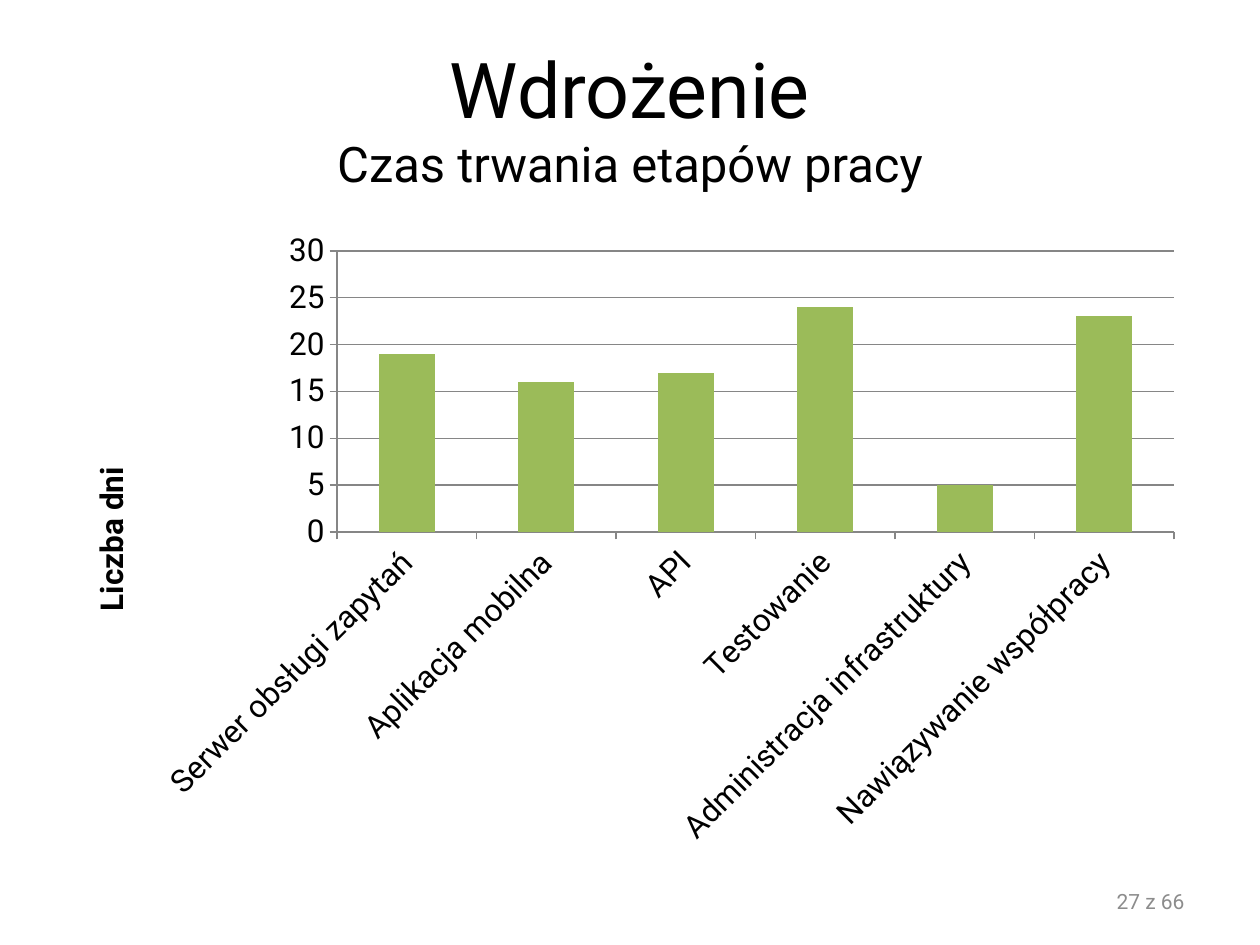
from dataclasses import dataclass

from lxml import etree
from pptx import Presentation
from pptx import util as u
from pptx.chart.data import CategoryChartData
from pptx.dml.color import RGBColor
from pptx.enum import chart as charts, text
from pptx.oxml.ns import qn

PX = 914400 // 126


@dataclass(frozen=True)
class Theme:
    font: str = "Roboto"
    ink: str = "000000"
    muted: str = "8C8C8C"
    rule: str = "868686"
    bar: str = "9BBB59"
    title: int = 44
    subtitle: int = 28
    label: int = 18
    footer: int = 12


@dataclass(frozen=True)
class Box:
    left: int
    top: int
    width: int
    height: int

    def emu(self) -> tuple[int, ...]:
        return tuple(v * PX for v in (self.left, self.top, self.width, self.height))


@dataclass(frozen=True)
class Stage:
    name: str
    days: int


THEME = Theme()
TITLE_BOX = Box(63, 38, 1134, 158)
CHART_BOX = Box(63, 220, 1134, 639)
PLOT_BOX = Box(337, 251, 837, 281)
FOOTER_BOX = Box(903, 876, 294, 50)
STAGES = (
    Stage("Serwer obsługi zapytań", 19),
    Stage("Aplikacja mobilna", 16),
    Stage("API", 17),
    Stage("Testowanie", 24),
    Stage("Administracja infrastruktury", 5),
    Stage("Nawiązywanie współpracy", 23),
)


def style_font(font, size: int, color: str, bold: bool = False) -> None:
    font.name = THEME.font
    font.size = u.Pt(size)
    font.bold = bold
    font.color.rgb = RGBColor.from_string(color)


def add_span(para, wording: str, size: int, color: str) -> None:
    span = para.add_run()
    span.text = wording
    style_font(span.font, size, color)


def prepare(shape, box: Box, align):
    shape.left, shape.top, shape.width, shape.height = box.emu()
    frame = shape.text_frame
    frame.word_wrap = True
    frame.auto_size = text.MSO_AUTO_SIZE.NONE
    frame.vertical_anchor = text.MSO_ANCHOR.MIDDLE
    para = frame.paragraphs[0]
    para.alignment = align
    return para


def place_plot(chart, outer: Box, inner: Box) -> None:
    area = chart._chartSpace.chart.plotArea
    for old in area.findall(qn("c:layout")):
        area.remove(old)
    layout = etree.Element(qn("c:layout"))
    manual = etree.SubElement(layout, qn("c:manualLayout"))
    settings = {
        "layoutTarget": "inner",
        "xMode": "edge",
        "yMode": "edge",
        "x": (inner.left - outer.left) / outer.width,
        "y": (inner.top - outer.top) / outer.height,
        "w": inner.width / outer.width,
        "h": inner.height / outer.height,
    }
    for tag, value in settings.items():
        etree.SubElement(manual, qn(f"c:{tag}")).set("val", str(value))
    area.insert(0, layout)


def style_axis(axis) -> None:
    style_font(axis.tick_labels.font, THEME.label, THEME.ink)
    axis.major_tick_mark = charts.XL_TICK_MARK.OUTSIDE
    axis.minor_tick_mark = charts.XL_TICK_MARK.NONE
    style_line(axis.format.line)


def style_line(line) -> None:
    line.color.rgb = RGBColor.from_string(THEME.rule)
    line.width = u.Pt(0.75)


def add_stage_chart(page, stages: tuple[Stage, ...]) -> None:
    data = CategoryChartData()
    data.categories = [stage.name for stage in stages]
    data.add_series("Series 1", [stage.days for stage in stages])
    chart = page.shapes.add_chart(
        charts.XL_CHART_TYPE.COLUMN_CLUSTERED, *CHART_BOX.emu(), data
    ).chart
    chart.has_legend = False
    chart.has_title = False
    style_font(chart.font, THEME.label, THEME.ink)
    plot = chart.plots[0]
    plot.gap_width = 150
    plot.vary_by_categories = False
    fill = plot.series[0].format.fill
    fill.solid()
    fill.fore_color.rgb = RGBColor.from_string(THEME.bar)

    names, days = chart.category_axis, chart.value_axis
    for axis in (names, days):
        style_axis(axis)
    names.tick_labels.font._element.getparent().getparent().getparent().find(
        qn("a:bodyPr")
    ).set("rot", str(-45 * 60000))
    days.minimum_scale, days.maximum_scale, days.major_unit = 0, 30, 5
    days.has_major_gridlines = True
    style_line(days.major_gridlines.format.line)
    days.has_title = True
    frame = days.axis_title.text_frame
    frame._txBody.find(qn("a:bodyPr")).set("rot", str(-90 * 60000))
    span = frame.paragraphs[0].add_run()
    span.text = "Liczba dni"
    style_font(span.font, THEME.label, THEME.ink, bold=True)
    place_plot(chart, CHART_BOX, PLOT_BOX)


def main() -> None:
    deck = Presentation()
    deck.slide_width, deck.slide_height = 1260 * PX, 945 * PX
    page = deck.slides.add_slide(deck.slide_layouts[5])

    heading = prepare(page.shapes.title, TITLE_BOX, text.PP_ALIGN.CENTER)
    add_span(heading, "Wdrożenie", THEME.title, THEME.ink)
    heading.add_line_break()
    add_span(heading, "Czas trwania etapów pracy", THEME.subtitle, THEME.ink)

    add_stage_chart(page, STAGES)

    footer = page.shapes.add_textbox(*FOOTER_BOX.emu())
    counter = prepare(footer, FOOTER_BOX, text.PP_ALIGN.RIGHT)
    add_span(counter, "27 z 66", THEME.footer, THEME.muted)

    deck.save("out.pptx")


if __name__ == "__main__":
    main()
